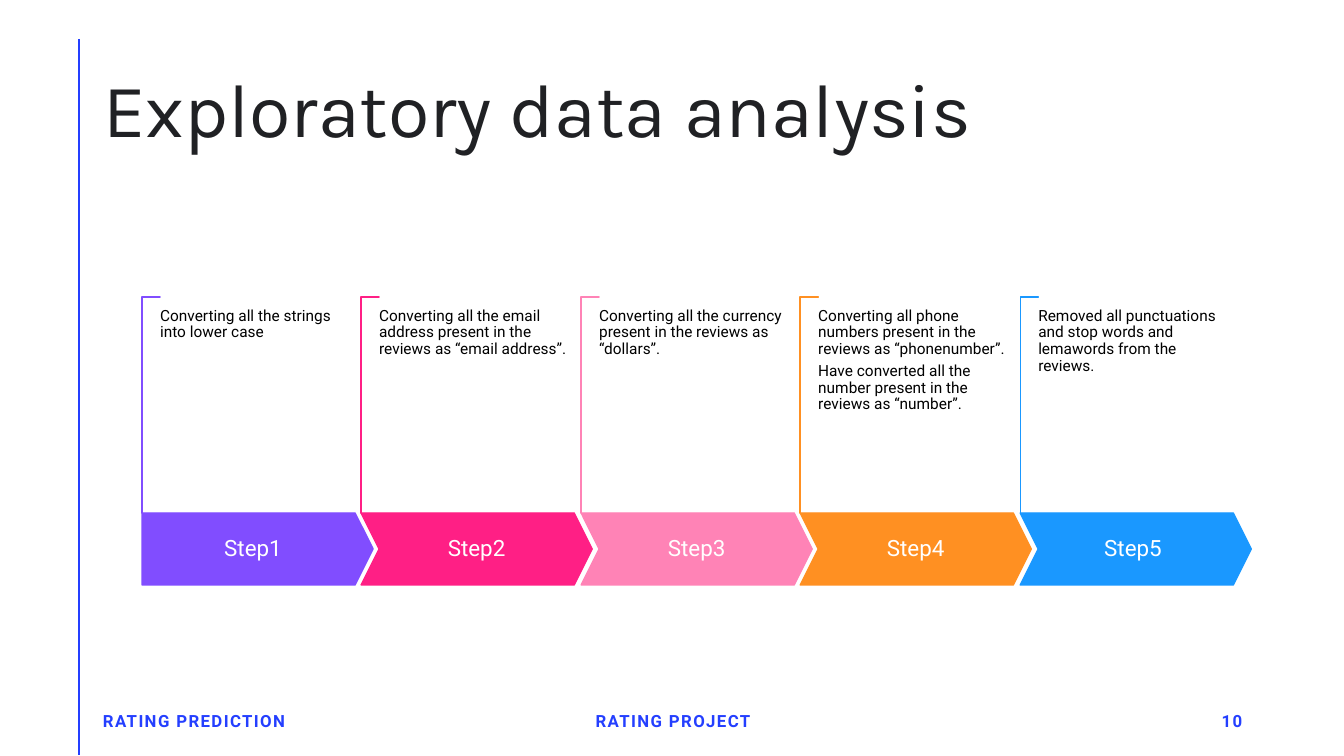
"""Build the exploratory data analysis slide with its five-step process."""
from lxml.etree import SubElement
from pptx import Presentation
from pptx.dml.color import RGBColor
from pptx.enum.shapes import MSO_CONNECTOR, MSO_SHAPE
from pptx.enum.text import MSO_ANCHOR, PP_ALIGN
from pptx.oxml.ns import qn
from pptx.util import Inches, Pt

EMU_PER_PIXEL = 914400 / 100.8
BLUE, INK, WHITE, BLACK = "243FFF", "202124", "FFFFFF", "000000"


def px(length):
    return round(length * EMU_PER_PIXEL)


def color(code):
    return RGBColor.from_string(code)


class StepSlide:
    def __init__(self, slide, font):
        self.shapes = slide.shapes
        self.font = font

    def rule(self, x, top, bottom, code, weight):
        line = self.shapes.add_connector(
            MSO_CONNECTOR.STRAIGHT, px(x), px(top), px(x), px(bottom))
        line.line.color.rgb = color(code)
        line.line.width = Pt(weight)
        SubElement(line._element.spPr, qn("a:effectLst"))

    def shape(self, preset, box, adjustments, fill, outline, rotation=0):
        shape = self.shapes.add_shape(preset, *map(px, box))
        for index, value in enumerate(adjustments):
            shape.adjustments[index] = value
        shape.rotation = rotation
        shape.shadow.inherit = False
        shape.fill.solid()
        shape.fill.fore_color.rgb = color(fill)
        shape.line.color.rgb = color(outline)
        shape.line.width = Pt(1)

    def text(self, box, paragraphs, size, code, font=None, bold=False,
             align=PP_ALIGN.LEFT, anchor=MSO_ANCHOR.MIDDLE, inset=(10, 5),
             line_spacing=0.9, after=0, tracking=0):
        frame = self.shapes.add_textbox(*map(px, box)).text_frame
        frame.word_wrap = True
        frame.vertical_anchor = anchor
        frame.margin_left = frame.margin_right = px(inset[0])
        frame.margin_top = frame.margin_bottom = px(inset[1])
        frame.text = "\n".join(paragraphs)
        for paragraph in frame.paragraphs:
            paragraph.alignment = align
            paragraph.line_spacing = line_spacing
            paragraph.space_after = Pt(after)
            paragraph.font.name = font or self.font
            paragraph.font.size = Pt(size)
            paragraph.font.bold = bold
            paragraph.font.color.rgb = color(code)
            if tracking:
                for run in paragraph.runs:
                    run.font._element.set("spc", str(tracking * 100))


presentation = Presentation()
presentation.slide_width = Inches(13.33)
presentation.slide_height = Inches(7.5)
page = StepSlide(
    presentation.slides.add_slide(presentation.slide_layouts[6]), "Roboto")

page.rule(79, 39, 755, BLUE, 2)
page.text((93, 40, 1159, 146), ["Exploratory data analysis"], 54, INK, font="Karla")

steps = [
    ("Step1", "814DFF", ["Converting all the strings into lower case"]),
    ("Step2", "FF1F85", ["Converting all the email address present in the "
                         "reviews as “email address”."]),
    ("Step3", "FF83B6", ["Converting all the currency present in the "
                         "reviews as “dollars”."]),
    ("Step4", "FF9022", ["Converting all phone numbers present in the "
                         "reviews as “phonenumber”.",
                         "Have converted all the number present in the "
                         "reviews as “number”."]),
    ("Step5\u00a0", "1A98FF", ["Removed all punctuations and stop words and "
                               "lemawords from the reviews."]),
]
for index, (label, accent, details) in enumerate(steps):
    left = 142 + index * 439 // 2
    if index == 0:
        arrow, label_left, label_width = MSO_SHAPE.PENTAGON, left, 222
    else:
        arrow, label_left, label_width = MSO_SHAPE.CHEVRON, left + 18, 195
    page.shape(MSO_SHAPE.CORNER, (left - 99, 396, 216, 18), (0.01, 0.01),
               WHITE, accent, rotation=90)
    page.shape(arrow, (left, 513, 231, 72), (0.25,), accent, accent)
    page.text((label_left, 513, label_width, 72), [label], 16, WHITE,
              align=PP_ALIGN.CENTER, inset=(11, 22))
    page.text((left + 18, 308, 188, 151), details, 11, BLACK,
              anchor=MSO_ANCHOR.TOP, inset=(0, 0), after=3.8)

footers = [
    (93, 302, "RATING PREDICTION", PP_ALIGN.LEFT),
    (446, 454, "RATING PROJECT", PP_ALIGN.CENTER),
    (950, 302, "10", PP_ALIGN.RIGHT),
]
for left, width, wording, align in footers:
    page.text((left, 701, width, 40), [wording], 12, BLUE, bold=True,
              align=align, line_spacing=1.0, tracking=1)

presentation.save("out.pptx")
